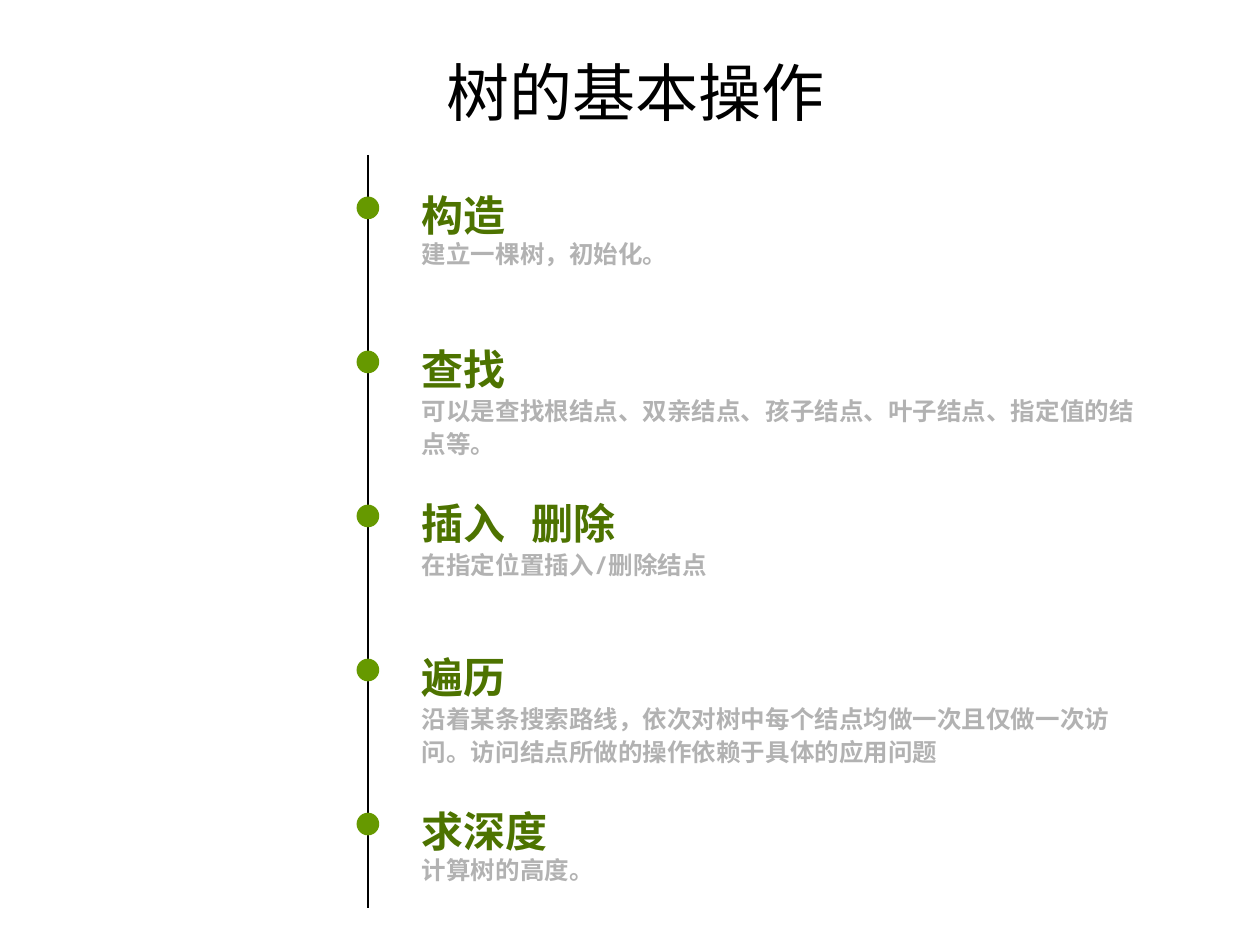
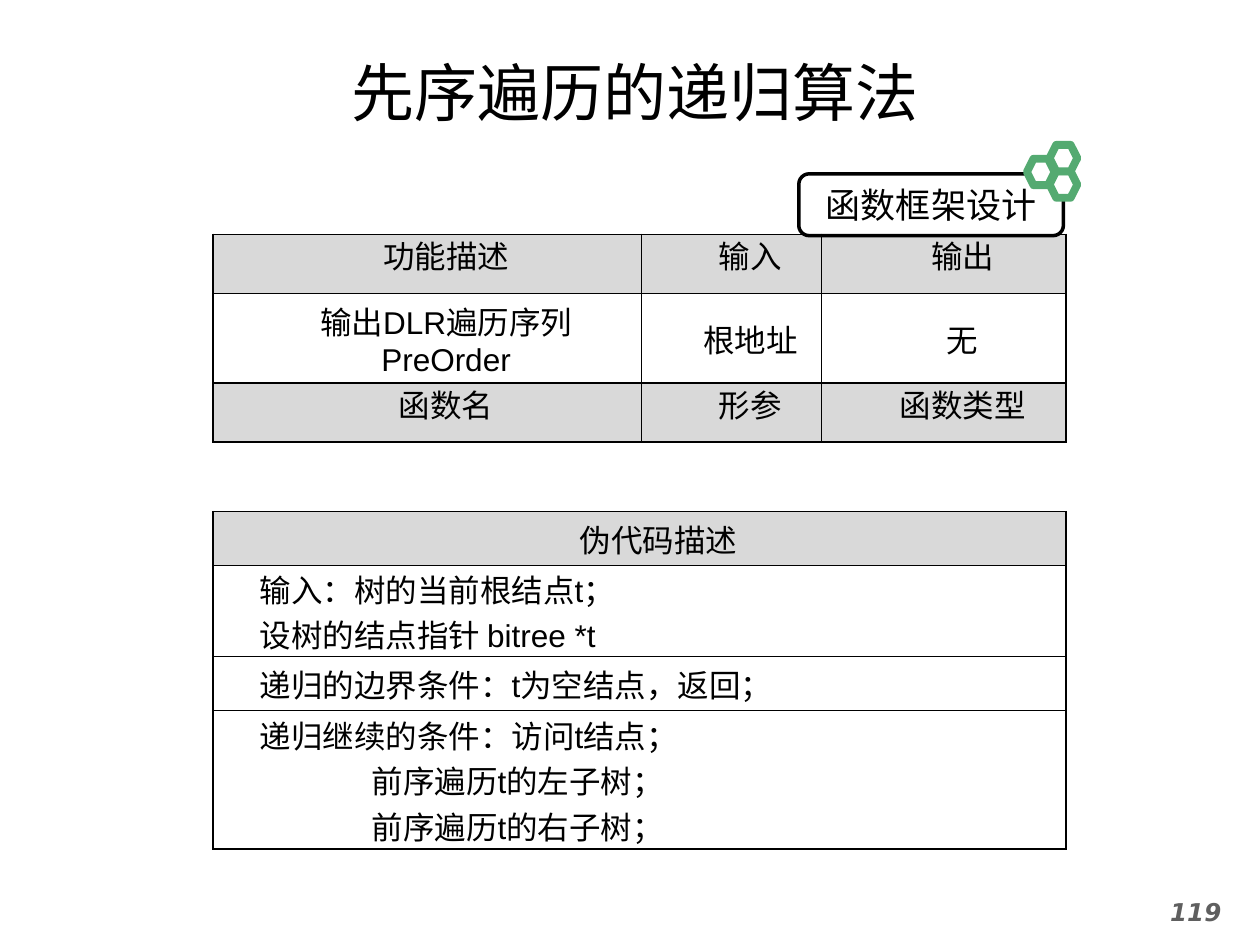
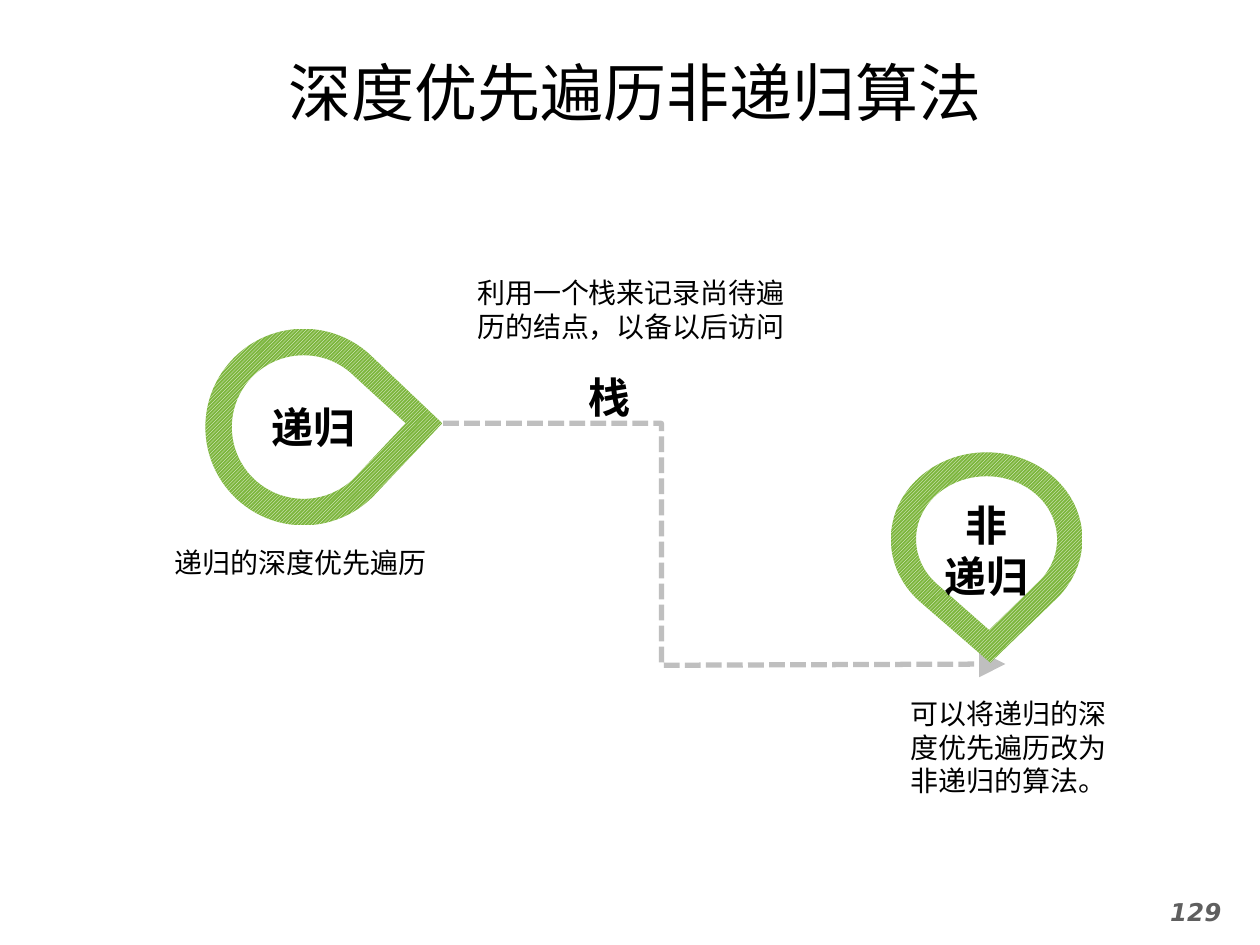
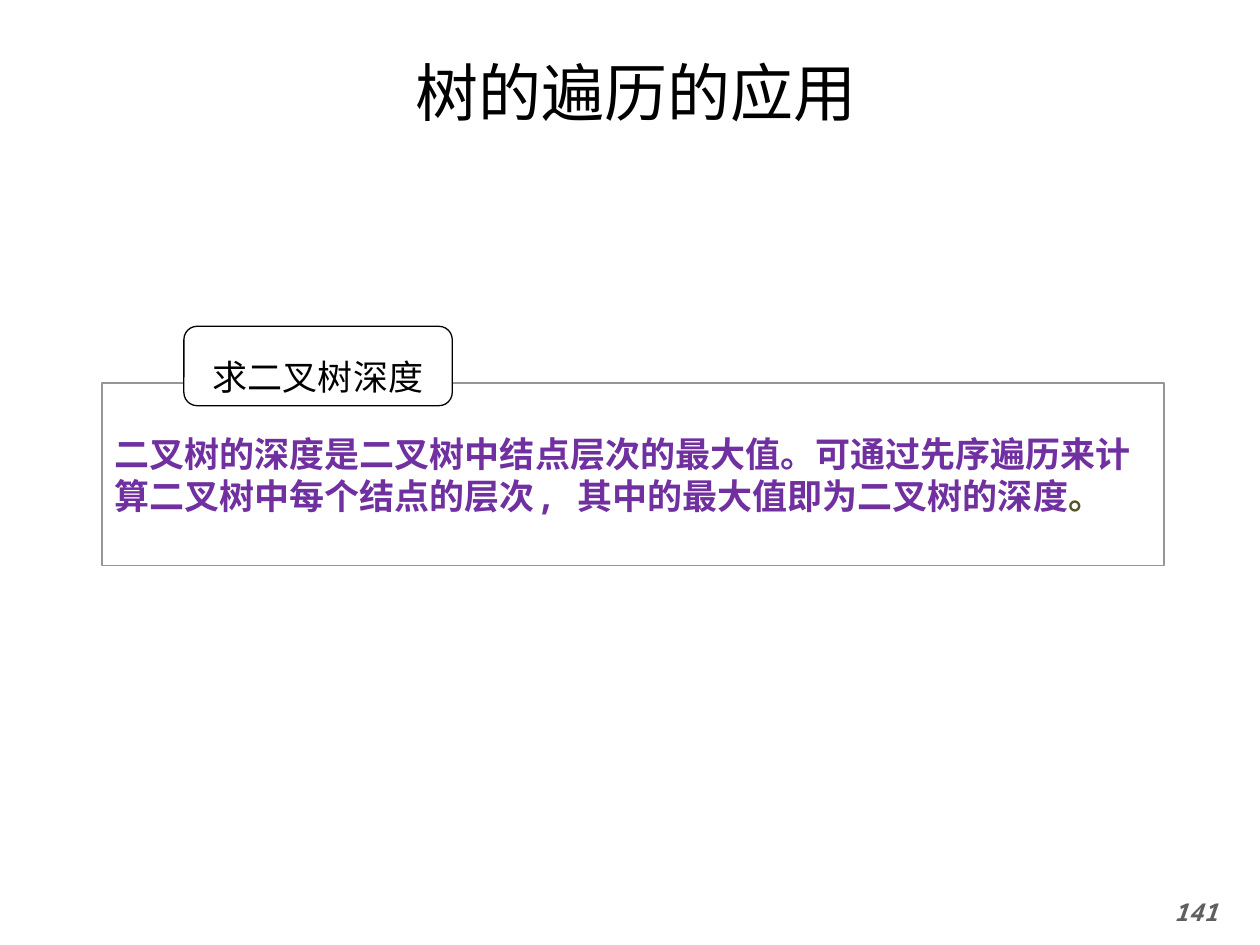
from math import cos, radians, sin, tan

from lxml.etree import SubElement
from pptx import Presentation
from pptx.dml.color import RGBColor
from pptx.enum.dml import MSO_LINE, MSO_PATTERN
from pptx.enum.shapes import MSO_CONNECTOR, MSO_SHAPE
from pptx.enum.text import MSO_ANCHOR, PP_ALIGN
from pptx.oxml.ns import qn
from pptx.util import Inches, Pt

BLACK = RGBColor(0x00, 0x00, 0x00)
WHITE = RGBColor(0xFF, 0xFF, 0xFF)
LEAF = RGBColor(0x66, 0x99, 0x00)
MOSS = RGBColor(0x4D, 0x73, 0x00)
LIME = RGBColor(0x7D, 0xB6, 0x3E)
JADE = RGBColor(0x54, 0xAA, 0x71)
PALE = RGBColor(0xB2, 0xB2, 0xB2)
DASH = RGBColor(0xBF, 0xBF, 0xBF)
SHADE = RGBColor(0xD9, 0xD9, 0xD9)
EDGE = RGBColor(0x96, 0x96, 0x96)
DIM = RGBColor(0x5F, 0x5F, 0x5F)
PURPLE = RGBColor(0x70, 0x30, 0xA0)
OLIVE = RGBColor(0x55, 0x54, 0x29)

MONO = "Noto Sans Mono"
HAN = "Noto Sans CJK SC"
KANJI = "Noto Sans CJK JP"
SANS = "DejaVu Sans"
ARIAL = "Arial"
LEFT, MID, EVEN = PP_ALIGN.LEFT, PP_ALIGN.CENTER, PP_ALIGN.JUSTIFY


def write(frame, text, size=16, font=MONO, latin=None, color=BLACK, bold=False, italic=False,
          align=LEFT, space=None, first=0, inner=0, anchor=MSO_ANCHOR.MIDDLE,
          inset=(0.1, 0.05, 0.1, 0.05), wrap=True, end=None):
    frame.word_wrap = wrap
    frame.vertical_anchor = anchor
    frame.margin_left, frame.margin_top, frame.margin_right, frame.margin_bottom = map(Inches, inset)
    lines = text.split("\n")
    for index, line in enumerate(lines):
        para = frame.paragraphs[0] if index == 0 else frame.add_paragraph()
        para.alignment = align
        if space:
            para.line_spacing = space
        props = para._p.get_or_add_pPr()
        props.set("hangingPunct", "0")
        if first:
            tab = inner if line.startswith("前序") else 0
            props.set("marL", str(Inches(tab)))
            props.set("indent", str(Inches(first)))
        parts = [(line, color)]
        if end and index == len(lines) - 1:
            parts.append(end)
        for words, tint in parts:
            run = para.add_run()
            run.text = words
            face = run.font
            face.size, face.bold, face.italic = Pt(size), bold, italic
            face.color.rgb = tint
            face.name = latin or font
            asian = HAN if font in (ARIAL, SANS) else font
            props = run._r.get_or_add_rPr()
            props.set("lang", "zh-CN")
            SubElement(props, qn("a:ea")).set("typeface", asian)


def label(slide, box, text, **style):
    shape = slide.shapes.add_textbox(*map(Inches, box))
    write(shape.text_frame, text, **style)


def block(slide, kind, box, fill=None, line=None, width=0.75):
    shape = slide.shapes.add_shape(kind, *map(Inches, box))
    paint(shape, fill, line, width)
    return shape


def paint(shape, fill=None, line=None, width=0.75):
    shape.shadow.inherit = False
    if fill is None:
        shape.fill.background()
    else:
        shape.fill.solid()
        shape.fill.fore_color.rgb = fill
    if line is None:
        shape.line.fill.background()
    else:
        shape.line.color.rgb = line
        shape.line.width = Pt(width)


def start(deck, title, font=MONO, page=None, foot=SANS, box=(0.27, 0.37, 9.54, 0.71)):
    slide = deck.slides.add_slide(deck.slide_layouts[6])
    label(slide, box, title, size=36, font=font, align=MID)
    if page:
        label(slide, (8.98, 7.07, 1.02, 0.43), page, size=14, font=foot, color=DIM,
              bold=True, italic=True, align=MID, anchor=MSO_ANCHOR.TOP)
    return slide


def rail(slide, x, top, bottom):
    line = slide.shapes.add_connector(MSO_CONNECTOR.STRAIGHT, Inches(x), Inches(top),
                                      Inches(x), Inches(bottom))
    line.line.color.rgb = BLACK
    line.line.width = Pt(0.75)
    SubElement(line._element.spPr, qn("a:effectLst"))


def stop(slide, x, y, head, note, space):
    block(slide, MSO_SHAPE.OVAL, (x - 0.09, y + 0.18, 0.18, 0.18), fill=LEAF)
    label(slide, (x + 0.33, y, 5.29, 0.49), head, size=24, color=MOSS, bold=True, space=1.4,
          latin=ARIAL if " " in head else None)
    label(slide, (x + 0.33, y + 0.47, 5.92, 0.75), note, size=14, color=PALE, bold=True,
          space=space, anchor=MSO_ANCHOR.TOP)


def basics(deck):
    slide = start(deck, "树的基本操作")
    steps = [
        ("构造", "建立一棵树，初始化。", None),
        ("查找", "可以是查找根结点、双亲结点、孩子结点、叶子结点、指定值的结点等。", 1.1),
        ("插入 删除", "在指定位置插入/删除结点", 1.1),
        ("遍历", "沿着某条搜索路线，依次对树中每个结点均做一次且仅做一次访问。"
                 "访问结点所做的操作依赖于具体的应用问题", 1.1),
        ("求深度", "计算树的高度。", None),
    ]
    rail(slide, 2.92, 1.23, 7.21)
    gap = (6.27 - 1.38) / (len(steps) - 1)
    for index, step in enumerate(steps):
        stop(slide, 2.92, 1.38 + gap * index, *step)


def border(cell):
    props = cell._tc.get_or_add_tcPr()
    for index, side in enumerate(("lnL", "lnR", "lnT", "lnB")):
        line = props.makeelement(qn("a:" + side), {"w": str(Pt(1))})
        fill = SubElement(line, qn("a:solidFill"))
        SubElement(fill, qn("a:srgbClr")).set("val", str(BLACK))
        props.insert(index, line)


def grid(slide, x, y, widths, heights, rows, dark, styles):
    frame = slide.shapes.add_table(len(heights), len(widths), Inches(x), Inches(y),
                                   Inches(sum(widths)), Inches(sum(heights)))
    table = frame.table
    table.first_row = table.horz_banding = False
    for index, width in enumerate(widths):
        table.columns[index].width = Inches(width)
    for r, height in enumerate(heights):
        table.rows[r].height = Inches(height)
        for c, text in enumerate(rows[r]):
            cell = table.cell(r, c)
            cell.margin_left = cell.margin_right = Inches(0.07)
            cell.margin_top = cell.margin_bottom = 0
            write(cell.text_frame, text, size=18, font=ARIAL, first=0.3,
                  inset=(0.07, 0, 0.07, 0), **styles[r])
            cell.vertical_anchor = MSO_ANCHOR.MIDDLE
            if r in dark:
                cell.fill.solid()
                cell.fill.fore_color.rgb = SHADE
            else:
                cell.fill.background()
            border(cell)


def badge(slide, x, y, text):
    tag = block(slide, MSO_SHAPE.ROUNDED_RECTANGLE, (x, y, 2.1, 0.49), line=BLACK, width=2)
    write(tag.text_frame, text, size=20, font=HAN, align=MID, wrap=False)
    for dx, dy in ((1.99, -0.02), (1.99, -0.23), (1.81, -0.12)):
        block(slide, MSO_SHAPE.HEXAGON, (x + dx, y + dy, 0.22, 0.21), WHITE, JADE, 4.5)


def design(deck):
    slide = start(deck, "先序遍历的递归算法", KANJI, "119")
    tight = dict(align=MID, space=Pt(15.6))
    plain = dict(align=MID)
    grid(slide, 1.69, 1.86, (3.4, 1.43, 1.94), (0.47, 0.71, 0.47), [
        ("功能描述", "输入", "输出"),
        ("输出DLR遍历序列\nPreOrder", "根地址", "无"),
        ("函数名", "形参", "函数类型"),
    ], (0, 2), (tight, plain, tight))
    body = dict(align=EVEN, inner=0.89)
    grid(slide, 1.69, 4.06, (6.77,), (0.43, 0.72, 0.43, 1.1), [
        ("伪代码描述",),
        ("输入：树的当前根结点t；\n设树的结点指针 bitree *t",),
        ("递归的边界条件：t为空结点，返回；",),
        ("递归继续的条件：访问t结点；\n前序遍历t的左子树；\n前序遍历t的右子树；",),
    ], (0,), (plain, body, body, body))
    badge(slide, 6.34, 1.38, "函数框架设计")


def trace(slide, paths, close):
    build = None
    for path in paths:
        spots = [(Inches(x), Inches(y)) for x, y in path]
        if build is None:
            build = slide.shapes.build_freeform(*spots[0], scale=1.0)
        else:
            build.move_to(*spots[0])
        build.add_line_segments(spots[1:], close=close)
    return build.convert_to_shape()


def drop(x, y, wide, high, tip, turn):
    def spot(angle, push=0):
        a = radians(turn + angle)
        return x + wide * (cos(a) - push * sin(a)), y + high * (sin(a) + push * cos(a))

    stops = (45, 90, 180, 270, 315)
    spots = [spot(stops[0])]
    for begin, end in zip(stops, stops[1:]):
        push = 4 / 3 * tan(radians(end - begin) / 4)
        spots += [spot(begin, push), spot(end, -push), spot(end)]
    return spots + [tip]


def bend(shape):
    lines = shape._element.findall(".//" + qn("a:lnTo"))
    half = len(lines) // 2
    for part in (lines[:half], lines[half:]):
        for index in range(0, half - 1, 3):
            trio = part[index:index + 3]
            curve = trio[0].makeelement(qn("a:cubicBezTo"), {})
            trio[0].addprevious(curve)
            for line in trio:
                curve.append(line[0])
                line.getparent().remove(line)


def pin(slide, paths, text, inset):
    shape = trace(slide, paths, True)
    bend(shape)
    paint(shape)
    shape.fill.patterned()
    shape.fill.pattern = MSO_PATTERN.DARK_UPWARD_DIAGONAL
    shape.fill.fore_color.rgb = WHITE
    shape.fill.back_color.rgb = LIME
    write(shape.text_frame, text, size=24, bold=True, align=MID, inset=inset)


def route(slide, spots):
    line = trace(slide, [spots], False)
    paint(line, line=DASH, width=3)
    line.line.dash_style = MSO_LINE.SQUARE_DOT
    head = SubElement(line.line._get_or_add_ln(), qn("a:tailEnd"))
    for key, value in (("type", "triangle"), ("w", "lg"), ("len", "lg")):
        head.set(key, value)


def stack(deck):
    slide = start(deck, "深度优先遍历非递归算法", KANJI, "129")
    route(slide, [(3.35, 3.36), (5.25, 3.36), (5.25, 5.28), (7.98, 5.27)])
    pin(slide, [drop(2.41, 3.39, 0.57, 0.57, (3.22, 3.36), 0),
                drop(2.41, 3.39, 0.78, 0.78, (3.51, 3.36), 0)],
        "递归", (0, 0.05, 0.16, 0.05))
    pin(slide, [drop(7.83, 4.28, 0.56, 0.5, (7.85, 5), 90),
                drop(7.83, 4.28, 0.76, 0.69, (7.86, 5.26), 90)],
        "非\n递归", (0, 0, 0, 0.12))
    label(slide, (3.69, 2.02, 2.75, 0.87), "利用一个栈来记录尚待遍历的结点，以备以后访问", font=HAN)
    label(slide, (4.21, 2.73, 1.26, 0.71), "栈", size=24, bold=True, align=MID, space=1.3)
    label(slide, (7.13, 5.48, 1.96, 0.91), "可以将递归的深度优先遍历改为非递归的算法。",
          font=HAN, anchor=MSO_ANCHOR.TOP)
    label(slide, (1.29, 4.28, 2.38, 0.37), "递归的深度优先遍历",
          font=HAN, anchor=MSO_ANCHOR.TOP)


def panel(slide, x, y, head, text, end):
    box = block(slide, MSO_SHAPE.RECTANGLE, (x, y, 8.43, 1.45), WHITE, EDGE)
    write(box.text_frame, text, size=20, color=PURPLE, bold=True, end=end,
          anchor=MSO_ANCHOR.TOP, inset=(0.1, 0.39, 0.1, 0.05))
    tag = block(slide, MSO_SHAPE.ROUNDED_RECTANGLE, (x + 0.65, y - 0.45, 2.13, 0.63), WHITE, BLACK)
    write(tag.text_frame, head, size=20, font=HAN, align=MID, space=1.5, wrap=False)


def depth(deck):
    slide = start(deck, "树的遍历的应用", page="141", foot=MONO, box=(1.46, 0.37, 7.17, 0.71))
    panel(slide, 0.81, 3.04, "求二叉树深度",
          "二叉树的深度是二叉树中结点层次的最大值。可通过先序遍历来计算二叉树中每个结点的层次, "
          "其中的最大值即为二叉树的深度", ("。", OLIVE))


def main():
    deck = Presentation()
    deck.slide_width, deck.slide_height = Inches(10), Inches(7.5)
    for build in (basics, design, stack, depth):
        build(deck)
    deck.save("out.pptx")


if __name__ == "__main__":
    main()
